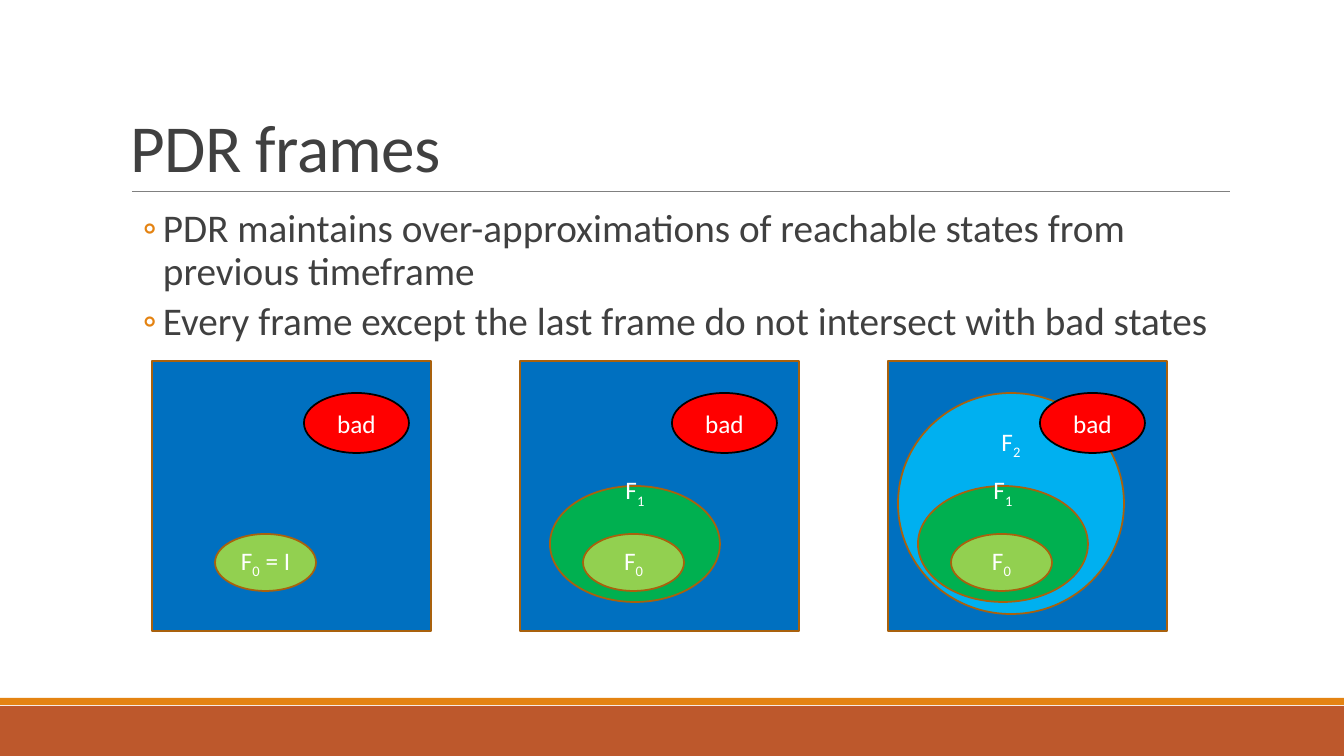
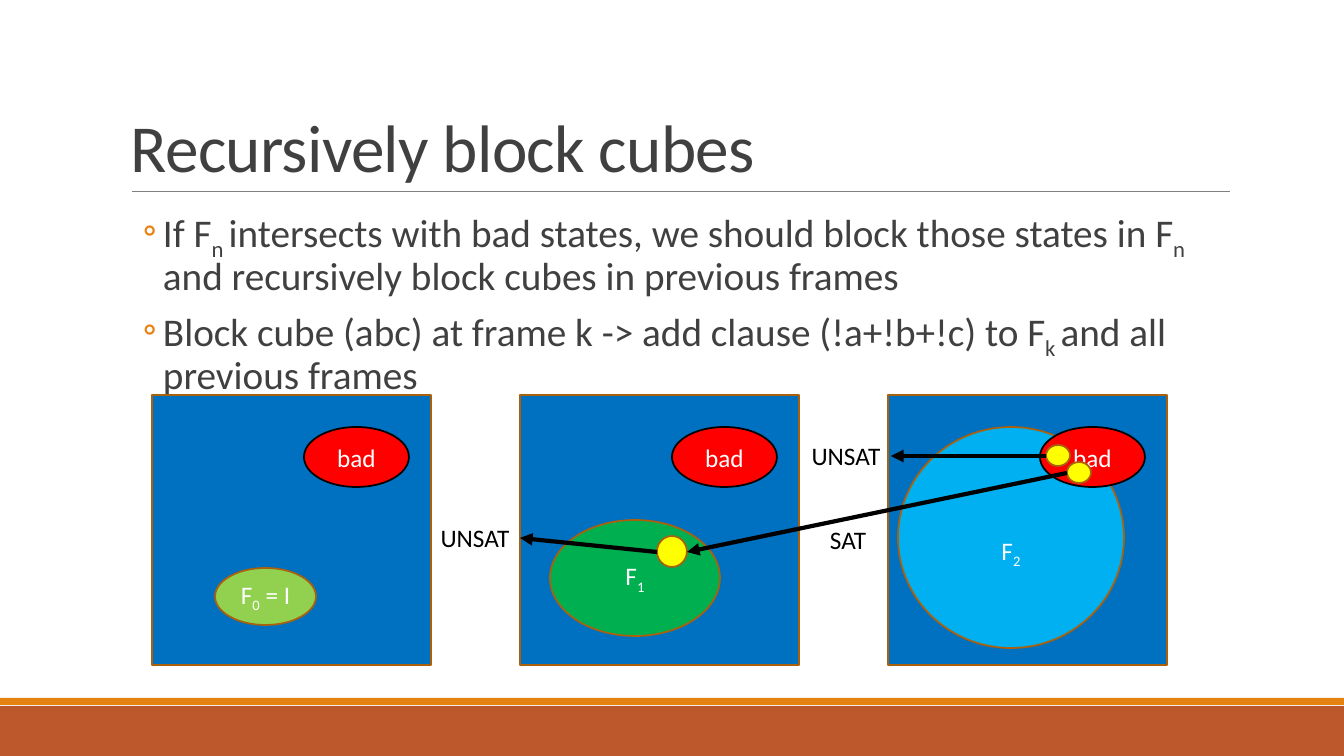
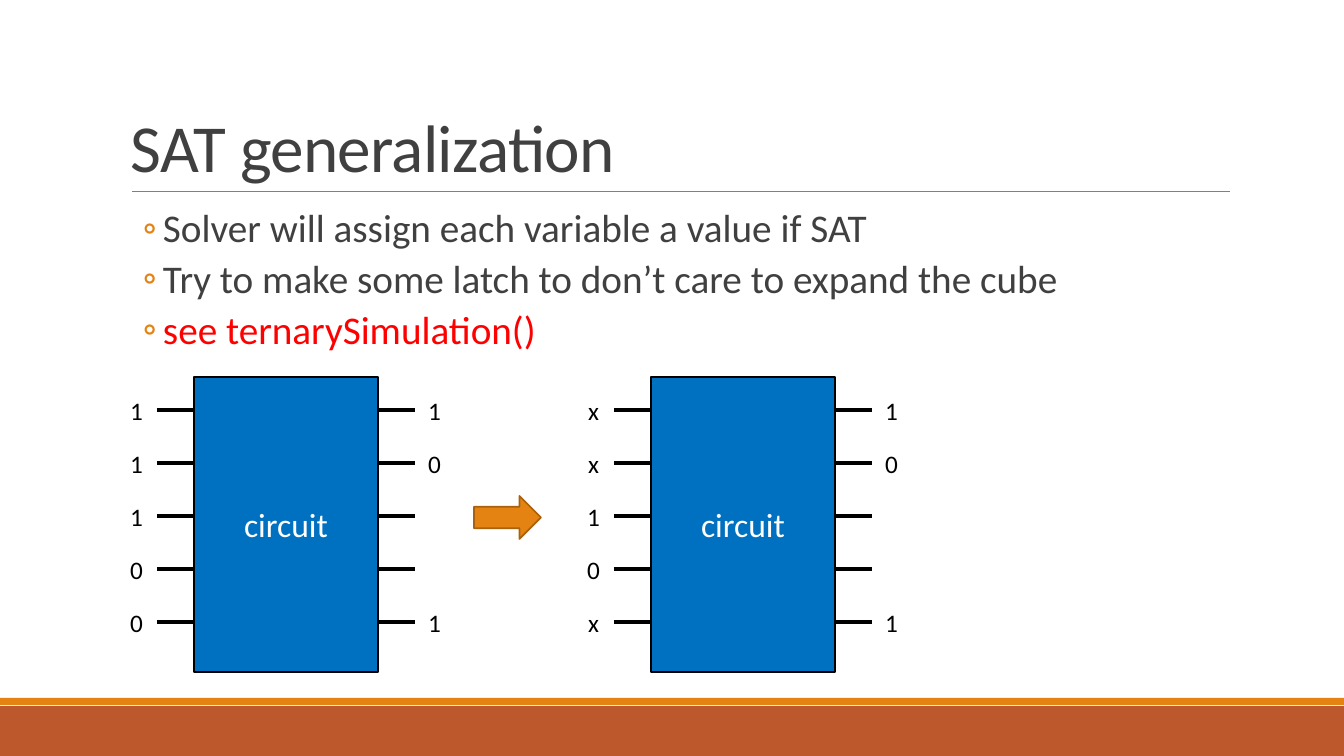
from dataclasses import dataclass
from typing import Optional

from lxml import etree
from pptx import Presentation
from pptx.dml.color import RGBColor
from pptx.enum import shapes, text
from pptx.oxml import ns
from pptx.util import Emu, Pt

# Shared style
EMU_PER_PIXEL = 914400 / 100.8
SLIDE_WIDTH, SLIDE_HEIGHT = 1344, 756
FONT = "Calibri"

WHITE = RGBColor(0xFF, 0xFF, 0xFF)
BLACK = RGBColor(0x00, 0x00, 0x00)
INK = RGBColor(0x40, 0x40, 0x40)
GRAY = RGBColor(0x80, 0x80, 0x80)
RUST = RGBColor(0xBD, 0x58, 0x2C)
ORANGE = RGBColor(0xE4, 0x83, 0x12)
BROWN = RGBColor(0xA9, 0x61, 0x0D)
BLUE = RGBColor(0x00, 0x70, 0xC0)
SKY = RGBColor(0x00, 0xB0, 0xF0)
GREEN = RGBColor(0x00, 0xB0, 0x50)
LIME = RGBColor(0x92, 0xD0, 0x50)
RED = RGBColor(0xFF, 0x00, 0x00)
YELLOW = RGBColor(0xFF, 0xFF, 0x00)

RECTANGLE = shapes.MSO_SHAPE.RECTANGLE
OVAL = shapes.MSO_SHAPE.OVAL
RIGHT_ARROW = shapes.MSO_SHAPE.RIGHT_ARROW
CENTER = text.PP_ALIGN.CENTER


@dataclass(frozen=True)
class Box:
    left: int
    top: int
    width: int
    height: int

    def moved(self, right: int, down: int) -> "Box":
        return Box(self.left + right, self.top + down, self.width, self.height)

    def emu(self) -> tuple[Emu, ...]:
        return tuple(px(n) for n in (self.left, self.top, self.width, self.height))


@dataclass(frozen=True)
class Region:
    """An ellipse inside a panel; its box is relative to the panel."""
    box: Box
    fill: RGBColor
    label: str
    line: RGBColor = BROWN
    label_inset: Optional[int] = None  # space below the label; None centres it


@dataclass(frozen=True)
class Bullet:
    words: str
    color: RGBColor = INK


@dataclass(frozen=True)
class Arrow:
    start: tuple[int, int]
    end: tuple[int, int]


@dataclass(frozen=True)
class Circuit:
    left: int
    inputs: str
    outputs: str


# Drawing functions
def px(pixels: int) -> Emu:
    return Emu(round(pixels * EMU_PER_PIXEL))


def write(paragraph, words: str, size: int, color: RGBColor) -> None:
    """Write words in which every second part between bars is a subscript."""
    paragraph.font.name = FONT
    paragraph.font.size = Pt(size)
    paragraph.font.color.rgb = color
    for index, part in enumerate(words.split("|")):
        if part:
            run = paragraph.add_run()
            run.text = part
            if index % 2:
                run._r.get_or_add_rPr().set("baseline", "-25000")


def add_figure(slide, kind, box: Box, fill: RGBColor,
               line: Optional[RGBColor] = BROWN, label: str = "",
               size: int = 18, label_inset: Optional[int] = None) -> None:
    shape = slide.shapes.add_shape(kind, *box.emu())
    shape.shadow.inherit = False
    shape.fill.solid()
    shape.fill.fore_color.rgb = fill
    if line is None:
        shape.line.fill.background()
    else:
        shape.line.color.rgb = line
        shape.line.width = Pt(1.25)
    if label:
        frame = shape.text_frame
        frame.margin_left = frame.margin_right = 0
        frame.vertical_anchor = text.MSO_ANCHOR.MIDDLE
        if label_inset is not None:
            frame.vertical_anchor = text.MSO_ANCHOR.BOTTOM
            frame.margin_top = 0
            frame.margin_bottom = px(label_inset)
        paragraph = frame.paragraphs[0]
        paragraph.alignment = CENTER
        write(paragraph, label, size, WHITE)


def add_line(slide, start: tuple[int, int], end: tuple[int, int],
             color: RGBColor = BLACK, width: float = 3,
             arrowhead: bool = False) -> None:
    connector = slide.shapes.add_connector(
        shapes.MSO_CONNECTOR.STRAIGHT, *(px(n) for n in (*start, *end)))
    connector.line.color.rgb = color
    connector.line.width = Pt(width)
    if arrowhead:
        etree.SubElement(connector.get_or_add_ln(), ns.qn("a:tailEnd"),
                         type="triangle")
    etree.SubElement(connector._element.spPr, ns.qn("a:effectLst"))


def add_label(slide, box: Box, words: str) -> None:
    frame = slide.shapes.add_textbox(*box.emu()).text_frame
    frame.word_wrap = False
    frame.margin_left = frame.margin_right = 0
    paragraph = frame.paragraphs[0]
    paragraph.alignment = CENTER
    write(paragraph, words, 18, BLACK)


def add_title(slide, words: str) -> None:
    frame = slide.shapes.add_textbox(*Box(121, 31, 1109, 160).emu()).text_frame
    frame.word_wrap = True
    frame.vertical_anchor = text.MSO_ANCHOR.BOTTOM
    paragraph = frame.paragraphs[0]
    paragraph.line_spacing = 0.85
    write(paragraph, words, 48, INK)
    for run in paragraph.runs:
        run._r.get_or_add_rPr().set("spc", "-50")


def add_bullets(slide, bullets: tuple[Bullet, ...]) -> None:
    frame = slide.shapes.add_textbox(*Box(121, 204, 1109, 444).emu()).text_frame
    frame.word_wrap = True
    frame.margin_left = frame.margin_right = 0
    for index, bullet in enumerate(bullets):
        paragraph = frame.add_paragraph() if index else frame.paragraphs[0]
        paragraph.line_spacing = 0.9
        paragraph.space_before = Pt(2)
        paragraph.space_after = Pt(4)
        properties = paragraph._p.get_or_add_pPr()
        properties.set("marL", str(px(42)))
        properties.set("indent", str(px(-20)))
        bullet_color = etree.SubElement(properties, ns.qn("a:buClr"))
        etree.SubElement(bullet_color, ns.qn("a:srgbClr"), val=str(ORANGE))
        etree.SubElement(properties, ns.qn("a:buFont"), typeface=FONT)
        etree.SubElement(properties, ns.qn("a:buChar"), char="◦")
        write(paragraph, bullet.words, 28, bullet.color)


def add_slide(presentation, title: str, *bullets: Bullet):
    """Add a slide with the bands, the title rule, the title and the bullets."""
    slide = presentation.slides.add_slide(presentation.slide_layouts[6])
    add_figure(slide, RECTANGLE, Box(0, 706, SLIDE_WIDTH, 50), RUST, None)
    add_figure(slide, RECTANGLE, Box(0, 698, SLIDE_WIDTH, 7), ORANGE, None)
    add_line(slide, (132, 191), (1230, 191), GRAY, 0.5)
    add_title(slide, title)
    add_bullets(slide, bullets)
    return slide


def add_panels(slide, top: int, panels: tuple[tuple[Region, ...], ...]) -> None:
    for index, regions in enumerate(panels):
        panel = Box(152 + 368 * index, top, 279, 270)
        add_figure(slide, RECTANGLE, panel, BLUE)
        for region in regions:
            add_figure(slide, OVAL, region.box.moved(panel.left, top),
                       region.fill, region.line, region.label,
                       label_inset=region.label_inset)


def add_circuit(slide, circuit: Circuit) -> None:
    block = Box(circuit.left, 377, 184, 295)
    right = block.left + block.width
    add_figure(slide, RECTANGLE, block, BLUE, BLACK, "circuit", 24)
    for index, (source, result) in enumerate(zip(circuit.inputs, circuit.outputs)):
        y = 410 + 53 * index
        add_line(slide, (block.left - 37, y), (block.left, y))
        add_line(slide, (right, y), (right + 37, y))
        add_label(slide, Box(block.left - 74, y - 20, 33, 40), source)
        if result != " ":
            add_label(slide, Box(right + 40, y - 20, 33, 40), result)


# Regions of the state space
BAD = Region(Box(152, 32, 105, 60), RED, "bad", BLACK)
F0_BOX = Box(63, 173, 101, 57)
INITIAL = Region(F0_BOX, LIME, "F|0| = I")
F0 = Region(F0_BOX, LIME, "F|0")
F1_BOX = Box(30, 125, 170, 116)
F1 = Region(F1_BOX, GREEN, "F|1")
F1_AROUND = Region(F1_BOX, GREEN, "F|1", label_inset=76)
F2_BOX = Box(10, 32, 226, 221)
F2 = Region(F2_BOX, SKY, "F|2", label_inset=46)
F2_AROUND = Region(F2_BOX, SKY, "F|2", label_inset=121)

presentation = Presentation()
presentation.slide_width = px(SLIDE_WIDTH)
presentation.slide_height = px(SLIDE_HEIGHT)

# Slide 1: frames
slide = add_slide(
    presentation, "PDR frames",
    Bullet("PDR maintains over-approximations of reachable states from "
           "previous timeframe"),
    Bullet("Every frame except the last frame do not intersect with bad states"))
add_panels(slide, 361, ((BAD, INITIAL), (BAD, F1_AROUND, F0),
                        (F2_AROUND, BAD, F1_AROUND, F0)))

# Slide 2: blocking cubes
slide = add_slide(
    presentation, "Recursively block cubes",
    Bullet("If F|n |intersects with bad states, we should block those states "
           "in F|n| and recursively block cubes in previous frames"),
    Bullet("Block cube (abc) at frame k -> add clause (!a+!b+!c) to F|k |"
           "and all previous frames"))
add_panels(slide, 395, ((BAD, INITIAL), (BAD, F1), (F2, BAD)))
for cube in (Box(1067, 462, 24, 21), Box(657, 536, 30, 31), Box(1046, 445, 24, 21)):
    add_figure(slide, OVAL, cube, YELLOW)
for query in (Arrow((1067, 473), (687, 552)), Arrow((1046, 456), (891, 456)),
              Arrow((657, 552), (520, 538))):
    add_line(slide, query.start, query.end, arrowhead=True)
for box, answer in ((Box(820, 519, 56, 40), "SAT"),
                    (Box(801, 435, 90, 40), "UNSAT"),
                    (Box(430, 517, 90, 40), "UNSAT")):
    add_label(slide, box, answer)

# Slide 3: generalization
slide = add_slide(
    presentation, "SAT generalization",
    Bullet("Solver will assign each variable a value if SAT"),
    Bullet("Try to make some latch to don’t care to expand the cube"),
    Bullet("see ternarySimulation()", RED))
for circuit in (Circuit(194, "11100", "10  1"), Circuit(651, "xx10x", "10  1")):
    add_circuit(slide, circuit)
add_figure(slide, RIGHT_ARROW, Box(474, 496, 67, 43), ORANGE)

presentation.save("out.pptx")
